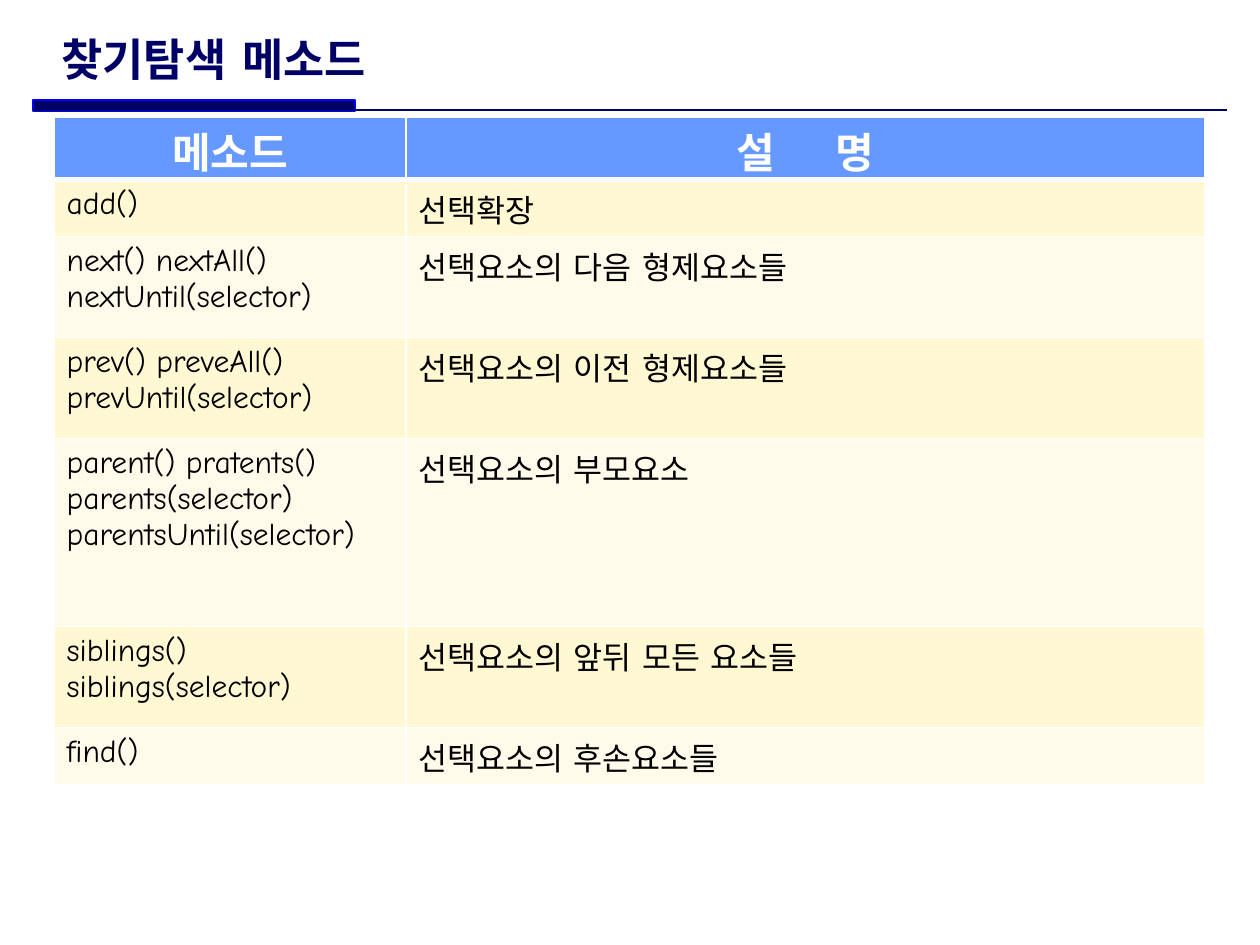
from dataclasses import dataclass

from lxml.etree import SubElement
from pptx import Presentation
from pptx.dml.color import RGBColor as Rgb
from pptx.enum.shapes import MSO_CONNECTOR as Connector
from pptx.enum.shapes import MSO_SHAPE as Shape
from pptx.enum.text import MSO_ANCHOR as Anchor
from pptx.enum.text import MSO_AUTO_SIZE as AutoSize
from pptx.enum.text import PP_ALIGN as Align
from pptx.oxml.ns import qn
from pptx.util import Emu, Pt


@dataclass(frozen=True)
class Theme:
    """Colours, font and type sizes of the slide."""

    navy: str = "000066"
    blue: str = "0000FF"
    header: str = "6699FF"
    bands: tuple = ("FFF8D3", "FFFBEA")
    white: str = "FFFFFF"
    black: str = "000000"
    font: str = "Comic Neue"
    title_size: float = 25.6
    header_size: float = 24
    cell_size: float = 18
    border: float = 0.96
    header_border: float = 3


THEME = Theme()
PX_PER_INCH = 126
COLUMNS = (352, 799)
HEADER_HEIGHT = 54
HEADER_INSET = 14
MEANING_INSET = 15
GAP_SPACING = 2600
METHODS = (
    (57, ("add()",), "선택확장"),
    (101, ("next() nextAll()", "nextUntil(selector)"), "선택요소의 다음 형제요소들"),
    (101, ("prev() preveAll()", "prevUntil(selector)"), "선택요소의 이전 형제요소들"),
    (188, ("parent() pratents()", "parents(selector)", "parentsUntil(selector)"),
     "선택요소의 부모요소"),
    (101, ("siblings()", "siblings(selector)"), "선택요소의 앞뒤 모든 요소들"),
    (57, ("find()",), "선택요소의 후손요소들"),
)


def px(length):
    """Turn whole pixels into EMU."""
    return Emu(round(length * 914400 / PX_PER_INCH))


def add_span(para, text, size, color, bold=False):
    """Add one formatted run to a paragraph."""
    span = para.add_run()
    span.text = text
    span.font.size = Pt(size)
    span.font.bold = bold
    span.font.name = THEME.font
    span.font.color.rgb = Rgb.from_string(color)
    SubElement(span.font._element, qn("a:ea"), typeface=THEME.font)
    return span


def add_title(page, text):
    """Move the title placeholder and write the heading."""
    title = page.shapes.title
    title.left, title.top = px(49), px(26)
    title.width, title.height = px(856), px(66)
    frame = title.text_frame
    frame.word_wrap = True
    frame.auto_size = AutoSize.NONE
    frame.vertical_anchor = Anchor.MIDDLE
    para = frame.paragraphs[0]
    para.alignment = Align.LEFT
    add_span(para, text, THEME.title_size, THEME.navy, True)


def add_rule(page):
    """Draw the thick and thin rule under the title."""
    bar = page.shapes.add_shape(Shape.RECTANGLE, px(33), px(100), px(322), px(11))
    bar.shadow.inherit = False
    bar.fill.solid()
    bar.fill.fore_color.rgb = Rgb.from_string(THEME.navy)
    bar.line.color.rgb = Rgb.from_string(THEME.blue)
    bar.line.width = Pt(0.75)
    rule = page.shapes.add_connector(
        Connector.STRAIGHT, px(33), px(110), px(1227), px(110))
    rule.line.color.rgb = Rgb.from_string(THEME.navy)
    rule.line.width = Pt(1.5)
    SubElement(rule._element.spPr, qn("a:effectLst"))


def style_cell(cell, fill, top, bottom):
    """Give a cell white borders and a solid fill."""
    properties = cell._tc.get_or_add_tcPr()
    edges = {"lnL": THEME.border, "lnR": THEME.border, "lnT": top, "lnB": bottom}
    for edge, width in edges.items():
        line = SubElement(properties, qn(f"a:{edge}"), w=str(Pt(width)))
        paint = SubElement(line, qn("a:solidFill"))
        SubElement(paint, qn("a:srgbClr"), val=THEME.white)
    cell.fill.solid()
    cell.fill.fore_color.rgb = Rgb.from_string(fill)


def inset_cell(cell, top):
    """Lower the text of a cell by its top margin."""
    cell.margin_top, cell.margin_bottom = px(top), px(0)


def fill_header(cells):
    """Write the two column headings."""
    for cell, words in zip(cells, (("메소드",), ("설", " ", "명"))):
        style_cell(cell, THEME.header, THEME.border, THEME.header_border)
        inset_cell(cell, HEADER_INSET)
        para = cell.text_frame.paragraphs[0]
        para.alignment = Align.CENTER
        for word in words:
            span = add_span(para, word, THEME.header_size, THEME.white, True)
            if word == " ":
                span.font._element.set("spc", str(GAP_SPACING))


def fill_cell(cell, lines):
    """Write each line as a paragraph of a body cell."""
    frame = cell.text_frame
    for number, text in enumerate(lines):
        para = frame.add_paragraph() if number else frame.paragraphs[0]
        add_span(para, text, THEME.cell_size, THEME.black)


def add_method_table(page):
    """Build the table of search methods."""
    heights = (HEADER_HEIGHT, *(height for height, _, _ in METHODS))
    table = page.shapes.add_table(
        len(heights), len(COLUMNS), px(54), px(117),
        px(sum(COLUMNS)), px(sum(heights))).table
    for column, width in zip(table.columns, COLUMNS):
        column.width = px(width)
    for row, height in zip(table.rows, heights):
        row.height = px(height)
    fill_header(table.rows[0].cells)
    for index, (_, calls, meaning) in enumerate(METHODS):
        top = THEME.border if index else THEME.header_border
        cells = table.rows[index + 1].cells
        for cell, lines in zip(cells, (calls, (meaning,))):
            style_cell(cell, THEME.bands[index % 2], top, THEME.border)
            fill_cell(cell, lines)
        inset_cell(cells[1], MEANING_INSET)


def main():
    """Build and save the slide."""
    deck = Presentation()
    deck.slide_width, deck.slide_height = px(1260), px(945)
    page = deck.slides.add_slide(deck.slide_layouts[5])
    add_title(page, "찾기탐색 메소드")
    add_rule(page)
    add_method_table(page)
    deck.save("out.pptx")


if __name__ == "__main__":
    main()
